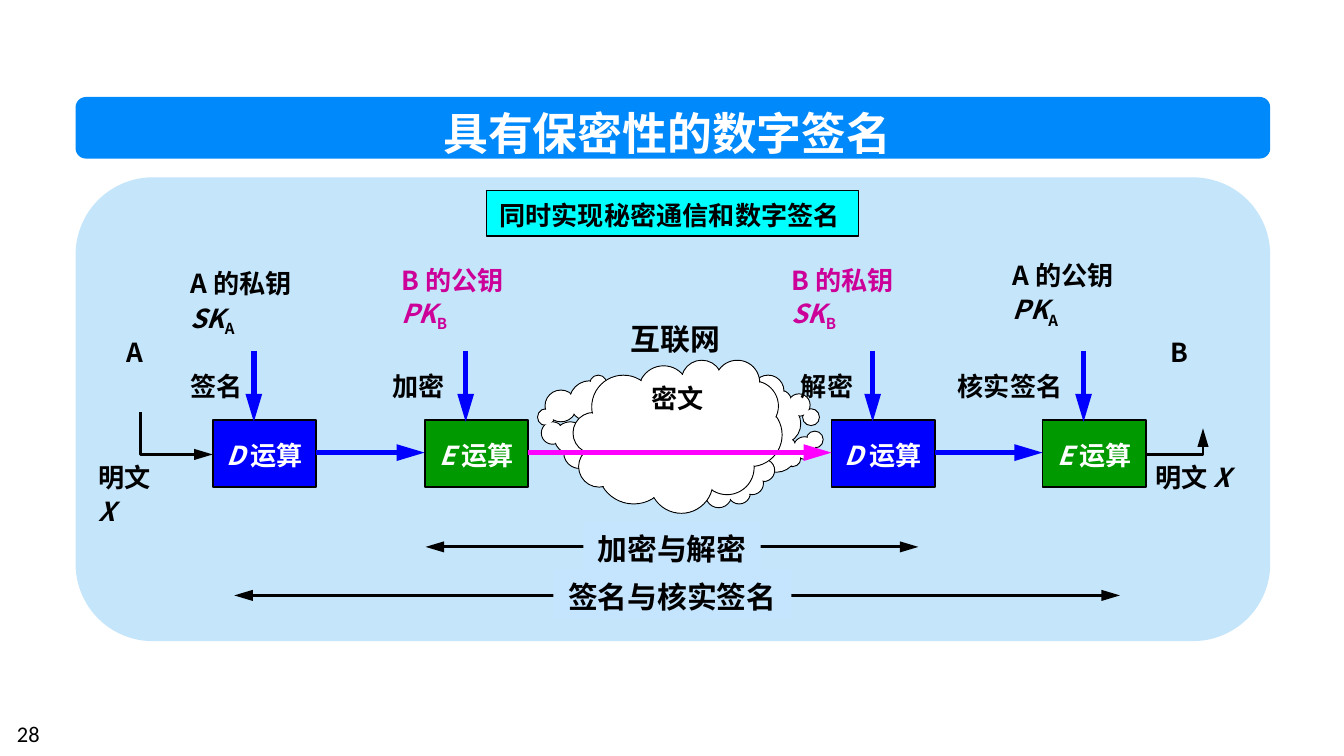
from lxml import etree
from pptx import Presentation
from pptx.dml.color import RGBColor
from pptx.enum import shapes, text
from pptx.oxml.ns import qn
from pptx.util import Pt

rgb = RGBColor.from_string
FONT = "Noto Sans CJK SC"
BLACK, WHITE, BLUE, GREEN, PLUM = "000000", "FFFFFF", "0000FF", "009900", "CC0099"
RECT, ROUND, OVAL = (shapes.MSO_SHAPE.RECTANGLE, shapes.MSO_SHAPE.ROUNDED_RECTANGLE,
                     shapes.MSO_SHAPE.OVAL)
LINE = shapes.MSO_CONNECTOR.STRAIGHT
LEFT, MID = text.PP_ALIGN.LEFT, text.PP_ALIGN.CENTER
TOP, CENTRE = text.MSO_ANCHOR.TOP, text.MSO_ANCHOR.MIDDLE


def paint(item, fill=None, edge=None, width=1, tips=()):
    """Set fill, line and arrow tips; connectors take no fill."""
    if fill:
        item.fill.solid()
        item.fill.fore_color.rgb = rgb(fill)
    elif hasattr(item, "fill"):
        item.fill.background()
    if edge:
        item.line.color.rgb = rgb(edge)
        item.line.width = Pt(width)
    else:
        item.line.fill.background()
    for tip in tips:
        etree.SubElement(item.line._get_or_add_ln(), qn("a:" + tip),
                         type="triangle", w="med", len="lg")
    etree.SubElement(item._element.spPr, qn("a:effectLst"))


def write(item, runs, size=14, color=BLACK, align=LEFT, anchor=TOP, gap=1.3):
    """Fill one paragraph; a run is (words, style), style i = italic, s = subscript."""
    frame = item.text_frame
    frame.word_wrap = align == LEFT
    frame.vertical_anchor = anchor
    para = frame.paragraphs[0]
    para.alignment = align
    para.line_spacing = Pt(round(size * gap, 1))
    para.font.name, para.font.size, para.font.bold = FONT, Pt(size), True
    para.font.color.rgb = rgb(color)
    for words, style in runs:
        if words == "\n":
            para.add_line_break()
            continue
        run = para.add_run()
        run.text = words
        if style == "i":
            run.font.italic = True
        elif style == "s":
            run.font._element.set("baseline", "-25000")


prs = Presentation()
prs.slide_width, prs.slide_height = Pt(720), Pt(405)
deck = prs.slides.add_slide(prs.slide_layouts[6]).shapes

# Title bar and panel
for y, h, fill in [(52, 33, "0089FA"), (95, 248.5, "C5E5FB")]:
    bar = deck.add_shape(ROUND, Pt(40.5), Pt(y), Pt(640), Pt(h))
    paint(bar, fill)
title = deck.add_textbox(Pt(228), Pt(50.5), Pt(264.5), Pt(36))
write(title, [("具有保密性的数字签名 ", "")], 24, WHITE, MID)

# Cloud: puffs (left, top, size) by part; a smaller white disc hides inner arcs
right = [(432, 231, 9), (425, 234, 12), (430, 219, 9), (422, 211, 12), (420, 241, 9),
         (412, 209, 12), (405, 231, 22), (407, 216, 22), (403, 201, 17)]
foot = [(403, 246, 12), (378, 258, 14), (390, 258, 12), (397, 253, 12)]
left = [(288, 219, 9), (290, 226, 12), (292, 209, 17), (305, 204, 22),
        (297, 226, 17), (302, 234, 17), (316, 201, 9)]
core = [(342, 196, 27), (365, 193, 22), (385, 216, 34), (320, 231, 39), (375, 236, 29),
        (310, 239, 22), (307, 221, 22), (317, 201, 34), (348, 241, 34), (390, 204, 27),
        (383, 193, 24)]
group = deck.add_group_shape().shapes
for part in right, foot, left, core:
    for inset, edge in (0, BLACK), (0.5, None):
        for x, y, size in part:
            side = Pt(size - 2 * inset)
            puff = group.add_shape(OVAL, Pt(x + inset), Pt(y + inset), side, side)
            paint(puff, WHITE, edge, 0.5)
middle = group.add_shape(OVAL, Pt(320), Pt(201), Pt(90), Pt(62))
paint(middle, WHITE)

goal = deck.add_shape(RECT, Pt(260.5), Pt(102), Pt(199.5), Pt(24.5))
paint(goal, "00FFFF", BLACK, 0.75)
write(goal, [("同时实现秘密通信和数字签名", "")])

# Plaintext paths in and out
for path in [[(75.5, 221), (75.5, 243.5), (114, 243.5)],
             [(592, 243.5), (644.5, 243.5), (644.5, 229.5)]]:
    first, *rest = [(Pt(x), Pt(y)) for x, y in path]
    pen = deck.build_freeform(*first)
    pen.add_line_segments(rest, close=False)
    paint(pen.convert_to_shape(), None, BLACK, 1.5, ["tailEnd"])

# Operations: box left, step left, key left and top, line gap of the key
ops = [
    (114, "D", BLUE, "签名", 95, 95, 135.5, "A", "私", "SK", BLACK, 1.5),
    (227.5, "E", GREEN, "加密", 203, 208, 135.5, "B", "公", "PK", PLUM, 1.4),
    (445.5, "D", BLUE, "解密", 422, 417, 135.5, "B", "私", "SK", PLUM, 1.4),
    (558.5, "E", GREEN, "核实签名", 506, 535.5, 131, "A", "公", "PK", BLACK, 1.5),
]
WIDE = 55.5
for x, name, fill, step, sx, kx, ky, who, kind, sign, color, gap in ops:
    box = deck.add_shape(RECT, Pt(x), Pt(225), Pt(WIDE), Pt(36))
    paint(box, fill, BLACK)
    write(box, [(name + " ", "i"), ("运算", "")], 14, WHITE, MID, CENTRE)
    note = deck.add_textbox(Pt(sx), Pt(193.5), Pt(19 + 14 * len(step)), Pt(24.5))
    write(note, [(step, "")])
    key = deck.add_textbox(Pt(kx), Pt(ky), Pt(101), Pt(25))
    write(key, [(f"{who} 的{kind}钥 ", ""), ("\n", ""), (sign, "i"), (who, "s")],
          14, color, gap=gap)
    drop = deck.add_connector(LINE, Pt(x + 22), Pt(188), Pt(x + 22), Pt(226))
    paint(drop, None, BLUE, 3, ["tailEnd"])

# Flow between operations
for here, there, color in zip(ops, ops[1:], [BLUE, "FF00FF", BLUE]):
    flow = deck.add_connector(LINE, Pt(here[0] + WIDE), Pt(242.5), Pt(there[0]), Pt(242.5))
    paint(flow, None, color, 3, ["tailEnd"])

# Spans: double arrow with its name in the gap
for x1, x2, y, x, w, words in [(228, 492, 293, 312.5, 95, "加密与解密"),
                               (125.5, 600, 319, 296.5, 127.5, "签名与核实签名")]:
    span = deck.add_connector(LINE, Pt(x1), Pt(y), Pt(x2), Pt(y))
    paint(span, None, BLACK, 1.5, ["headEnd", "tailEnd"])
    label = deck.add_shape(RECT, Pt(x), Pt(y - 14), Pt(w), Pt(26.5))
    paint(label, "C5E5FF")
    write(label, [(words, "")], 16, BLACK, MID)

# Parties, plaintext and ciphertext
for x, y, w, runs in [
    (342, 200, 46, [("密文", "")]),
    (60.5, 175.5, 25, [("A", "")]),
    (620, 175.5, 25, [("B", "")]),
    (45.5, 242.5, 57, [("明文 ", ""), ("\n", ""), ("X", "i")]),
    (612, 242.5, 65, [("明文 ", ""), ("X", "i")]),
]:
    write(deck.add_textbox(Pt(x), Pt(y), Pt(w), Pt(24.5)), runs)

net = deck.add_textbox(Pt(330), Pt(166.5), Pt(63.5), Pt(26.5))
write(net, [("互联网", "")], 16, BLACK, MID)

page = deck.add_textbox(Pt(2), Pt(381), Pt(168), Pt(21.5))
write(page, [("28", "")], 12)
font = page.text_frame.paragraphs[0].font
font.name, font.bold = "Calibri", False

prs.save("out.pptx")
